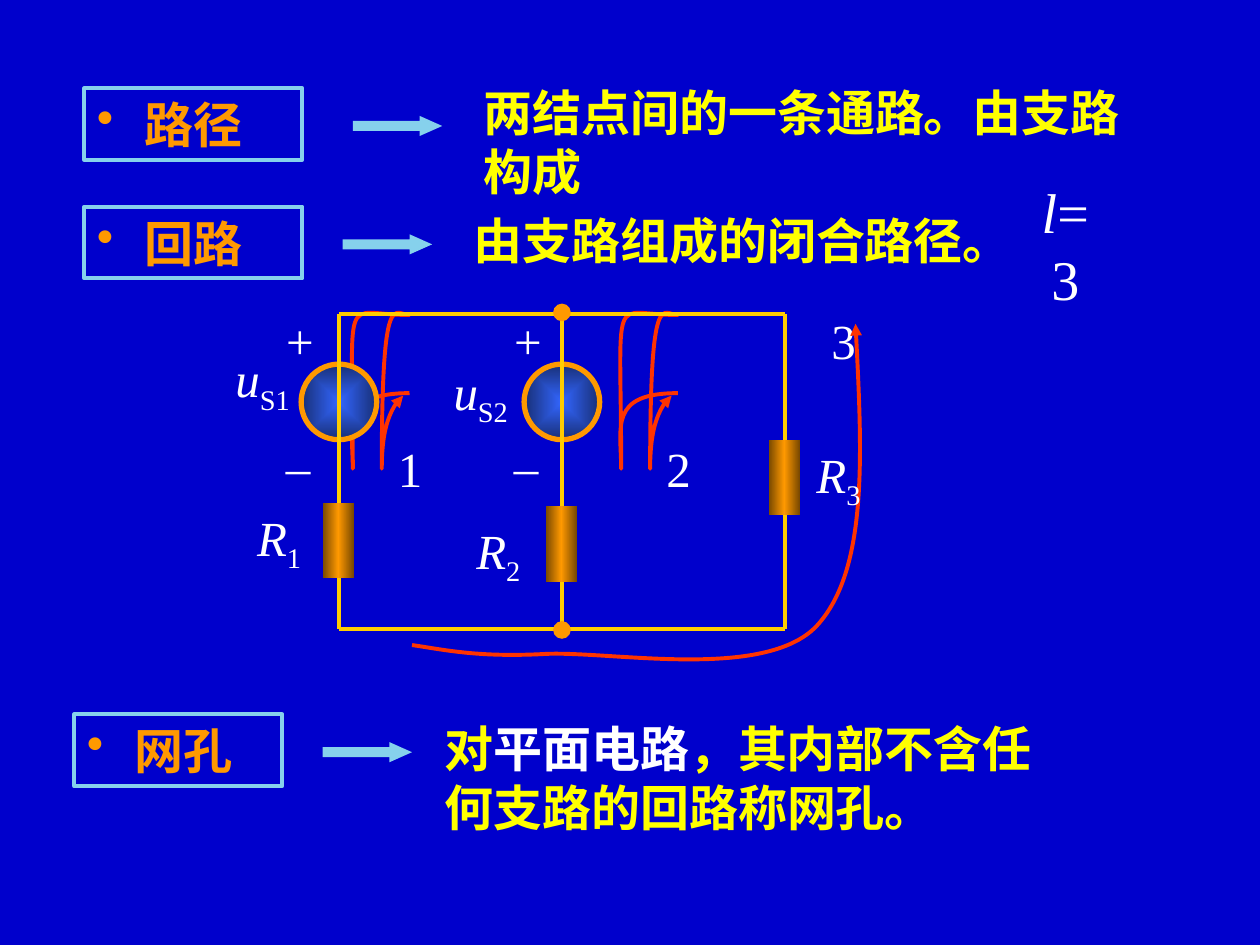
from lxml.etree import SubElement
from pptx import Presentation
from pptx.dml.color import RGBColor
from pptx.enum.shapes import MSO_CONNECTOR, MSO_SHAPE
from pptx.enum.text import MSO_ANCHOR, MSO_AUTO_SIZE, PP_ALIGN
from pptx.oxml import parse_xml
from pptx.oxml.ns import nsdecls, qn
from pptx.util import Inches, Pt

NAVY = RGBColor(0x00, 0x00, 0xCC)
YELLOW = RGBColor(0xFF, 0xFF, 0x00)
WHITE = RGBColor(0xFF, 0xFF, 0xFF)
ORANGE = RGBColor(0xFF, 0x99, 0x00)
BROWN = RGBColor(0x76, 0x47, 0x00)
GOLD = RGBColor(0xFF, 0xCC, 0x00)
SKY = RGBColor(0x86, 0xD1, 0xEC)
RED = RGBColor(0xFF, 0x33, 0x00)
BLUE = RGBColor(0x33, 0x66, 0xFF)
DEEP_BLUE = RGBColor(0x18, 0x2F, 0x76)
SERIF = "Times New Roman"
CJK = "Noto Sans CJK SC"

BRANCHES = (2.69, 4.46, 6.23)
RAILS = (2.49, 4.99)
RESISTOR_TOPS = (3.99, 4.02, 3.49)
LOOP = [(3.25, 3.12), (2.7, 3.12), (2.8, 3.39), (2.8, 3.72),
        (2.8, 2.24), (2.7, 2.5), (3.25, 2.5),
        (3.13, 2.5), (3.03, 2.24), (3.03, 3.72),
        (3.03, 3.45), (3.1, 3.21), (3.2, 3.14)]
OUTER_LOOP = [(3.27, 5.12), (3.54, 5.16), (3.8, 5.22), (4.34, 5.19),
              (4.87, 5.17), (6.07, 5.4), (6.48, 4.97),
              (6.89, 4.53), (6.84, 3.55), (6.79, 2.57)]


def inches(*lengths):
    return [Inches(length) for length in lengths]


def add_run(paragraph, text, color, size=28, bold=False, italic=False, font=SERIF, sub=False):
    run = paragraph.add_run()
    run.text = text
    run.font.size = Pt(size)
    run.font.bold = bold
    run.font.italic = italic
    run.font.color.rgb = color
    run.font.name = font
    properties = run.font._element
    SubElement(properties, qn("a:ea")).set("typeface", CJK)
    if sub:
        properties.set("baseline", "-25000")


def prepare_frame(shape, wrap=True):
    frame = shape.text_frame
    frame.word_wrap = wrap
    frame.auto_size = MSO_AUTO_SIZE.SHAPE_TO_FIT_TEXT
    frame.vertical_anchor = MSO_ANCHOR.MIDDLE
    return frame.paragraphs[0]


def add_definition(shapes, place, parts, font=SERIF):
    paragraph = prepare_frame(shapes.add_textbox(*inches(*place)))
    for text, color in parts:
        add_run(paragraph, text, color, bold=True, font=font)


def add_label(shapes, place, text, subscript="", wrap=False):
    paragraph = prepare_frame(shapes.add_textbox(*inches(*place)), wrap)
    paragraph.alignment = PP_ALIGN.CENTER
    add_run(paragraph, text, WHITE, italic=bool(subscript))
    if subscript:
        add_run(paragraph, subscript, WHITE, sub=True)


def add_plain(shapes, kind, place, fill=None, outline=None, weight=2.25):
    shape = shapes.add_shape(kind, *inches(*place))
    shape.shadow.inherit = False
    if fill is None:
        shape.fill.background()
    else:
        shape.fill.solid()
        shape.fill.fore_color.rgb = fill
    if outline is None:
        shape.line.fill.background()
    else:
        shape.line.color.rgb = outline
        shape.line.width = Pt(weight)
    return shape


def set_gradient(shape, stops, shading):
    colors = "".join(f'<a:gs pos="{position * 1000}"><a:srgbClr val="{color}"/></a:gs>'
                     for position, color in stops)
    gradient = parse_xml(f'<a:gradFill {nsdecls("a")} rotWithShape="1">'
                         f"<a:gsLst>{colors}</a:gsLst>{shading}</a:gradFill>")
    properties = shape._element.spPr
    properties.replace(properties.find(qn("a:noFill")), gradient)


def add_term(shapes, term, box, arrow_left, adjustment=1.122):
    left, top, width = box
    frame = add_plain(shapes, MSO_SHAPE.RECTANGLE, (left, top, width, 0.57), outline=SKY)
    paragraph = prepare_frame(frame)
    paragraph.alignment = PP_ALIGN.LEFT
    properties = paragraph._p.get_or_add_pPr()
    properties.set("marL", str(Inches(0.38)))
    properties.set("indent", str(-Inches(0.38)))
    bullet_color = SubElement(properties, qn("a:buClr"))
    SubElement(bullet_color, qn("a:srgbClr")).set("val", str(ORANGE))
    SubElement(properties, qn("a:buChar")).set("char", "•")
    add_run(paragraph, term, ORANGE, bold=True, font=CJK)
    arrow = add_plain(shapes, MSO_SHAPE.RIGHT_ARROW, (arrow_left, top + 0.22, 0.71, 0.16), SKY)
    arrow.adjustments[0] = 0.5
    arrow.adjustments[1] = adjustment


def add_curve(shapes, points):
    corners = [tuple(inches(*point)) for point in points]
    builder = shapes.build_freeform(*corners[0])
    builder.add_line_segments(corners[1:], close=False)
    curve = builder.convert_to_shape()
    curve.shadow.inherit = False
    curve.fill.background()
    curve.line.color.rgb = RED
    curve.line.width = Pt(2.25)
    SubElement(curve.line._get_or_add_ln(), qn("a:tailEnd")).set("type", "triangle")
    outline = next(curve._element.iter(qn("a:path")))
    segments = outline.findall(qn("a:lnTo"))
    for start in range(0, len(segments), 3):
        bezier = SubElement(outline, qn("a:cubicBezTo"))
        for segment in segments[start:start + 3]:
            bezier.append(segment[0])
            outline.remove(segment)


def add_wire(shapes, start, end):
    wire = shapes.add_connector(MSO_CONNECTOR.STRAIGHT, *inches(*start, *end))
    wire.line.color.rgb = GOLD
    wire.line.width = Pt(2.25)
    SubElement(wire._element.spPr, qn("a:effectLst"))


def add_source(shapes, x):
    source = add_plain(shapes, MSO_SHAPE.OVAL, (x - 0.3, 2.89, 0.6, 0.6),
                       outline=ORANGE, weight=3)
    center = '<a:path path="rect"><a:fillToRect l="50000" t="50000" r="50000" b="50000"/></a:path>'
    set_gradient(source, [(0, BLUE), (100, DEEP_BLUE)], center)


def add_resistor(shapes, x, top):
    resistor = add_plain(shapes, MSO_SHAPE.RECTANGLE, (x - 0.13, top, 0.25, 0.6))
    set_gradient(resistor, [(0, BROWN), (50, ORANGE), (100, BROWN)], '<a:lin ang="0" scaled="1"/>')


def add_circuit(shapes):
    top, bottom = RAILS
    for x in BRANCHES[:2]:
        add_source(shapes, x)
    for x in BRANCHES:
        add_wire(shapes, (x, bottom), (x, top))
    for y in RAILS:
        add_wire(shapes, (BRANCHES[0], y), (BRANCHES[-1], y))
    for x, resistor_top in zip(BRANCHES, RESISTOR_TOPS):
        add_resistor(shapes, x, resistor_top)
    for left in (2.17, 3.98):
        add_label(shapes, (left, 2.41, 0.42, 0.57), "+")
        add_label(shapes, (left, 3.28, 0.39, 0.57), "_")
    for left, label_top, symbol, subscript in (
            (1.74, 3.98, "R", "1"), (1.61, 2.72, "u", "S1"), (3.34, 2.82, "u", "S2"),
            (3.48, 4.08, "R", "2"), (6.18, 3.48, "R", "3")):
        add_label(shapes, (left, label_top, 0.95, 0.63), symbol, subscript, wrap=True)
    for node_top in (2.41, 4.93):
        add_plain(shapes, MSO_SHAPE.OVAL, (4.39, node_top, 0.14, 0.14), ORANGE)


def main():
    deck = Presentation()
    deck.slide_width, deck.slide_height = inches(10, 7.5)
    slide = deck.slides.add_slide(deck.slide_layouts[6])
    slide.background.fill.solid()
    slide.background.fill.fore_color.rgb = NAVY
    shapes = slide.shapes

    add_definition(shapes, (3.66, 1.62, 5.28, 0.57), [("由支路组成的闭合路径。", YELLOW)], CJK)
    add_definition(shapes, (3.74, 0.6, 5.43, 1.04), [("两结点间的一条通路。由支路构成", YELLOW)])
    loop_count = prepare_frame(shapes.add_textbox(*inches(8.06, 1.62, 0.79, 0.64)), wrap=False)
    loop_count.alignment = PP_ALIGN.CENTER
    add_run(loop_count, "l", WHITE, size=32, italic=True)
    add_run(loop_count, "=3", WHITE, size=32)

    for number, shift in (("1", 0), ("2", 2.13)):
        mesh = shapes.add_group_shape().shapes
        add_curve(mesh, [(x + shift, y) for x, y in LOOP])
        add_label(mesh, (3.06 + shift, 3.43, 0.39, 0.57), number)
    add_label(shapes, (6.5, 2.41, 0.39, 0.57), "3")
    add_curve(shapes, OUTER_LOOP)

    add_term(shapes, "路径", (0.67, 0.7, 1.73), 2.8)
    add_term(shapes, "回路", (0.67, 1.64, 1.73), 2.72)
    add_circuit(shapes.add_group_shape().shapes)
    add_definition(shapes, (3.43, 5.65, 5.2, 1.04),
                   [("对", YELLOW), ("平面电路", WHITE), ("，其内部不含任何支路的回路称网孔。", YELLOW)])
    add_term(shapes, "网孔", (0.59, 5.67, 1.65), 2.56, 1.119)
    deck.save("out.pptx")


if __name__ == "__main__":
    main()
